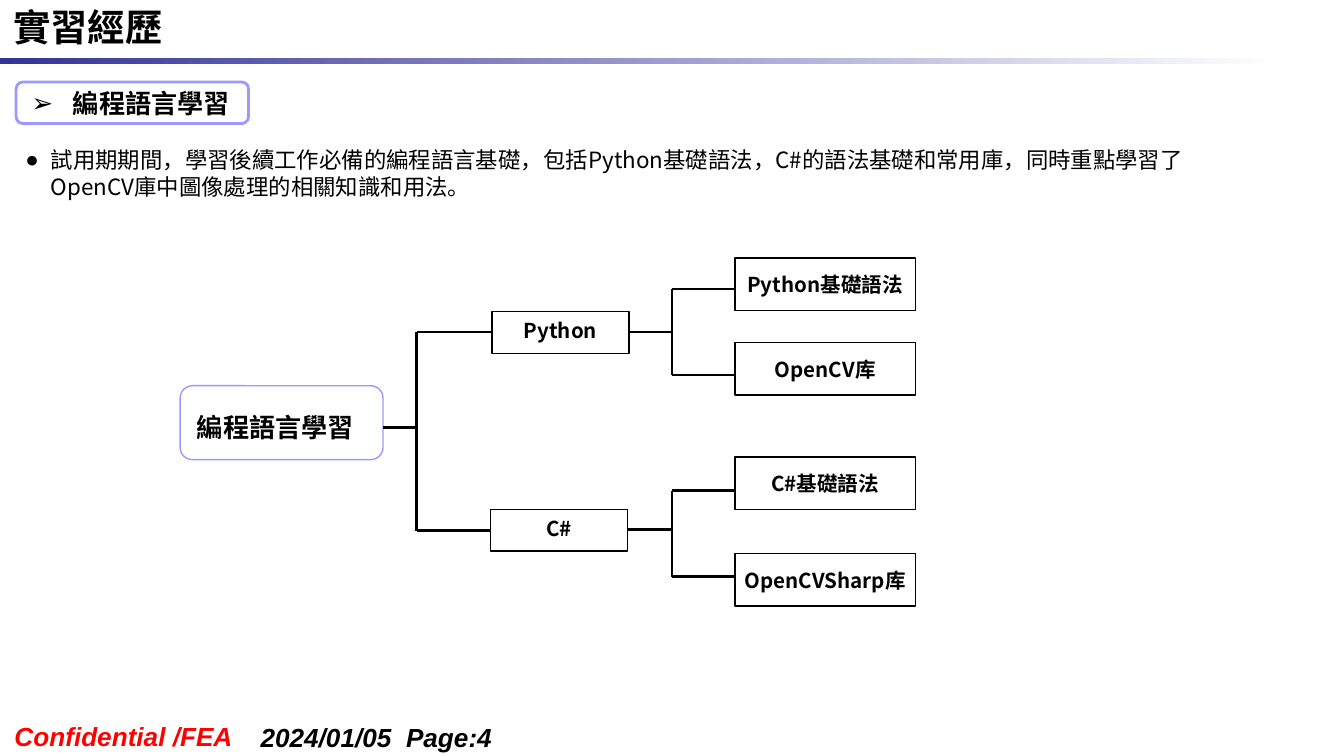
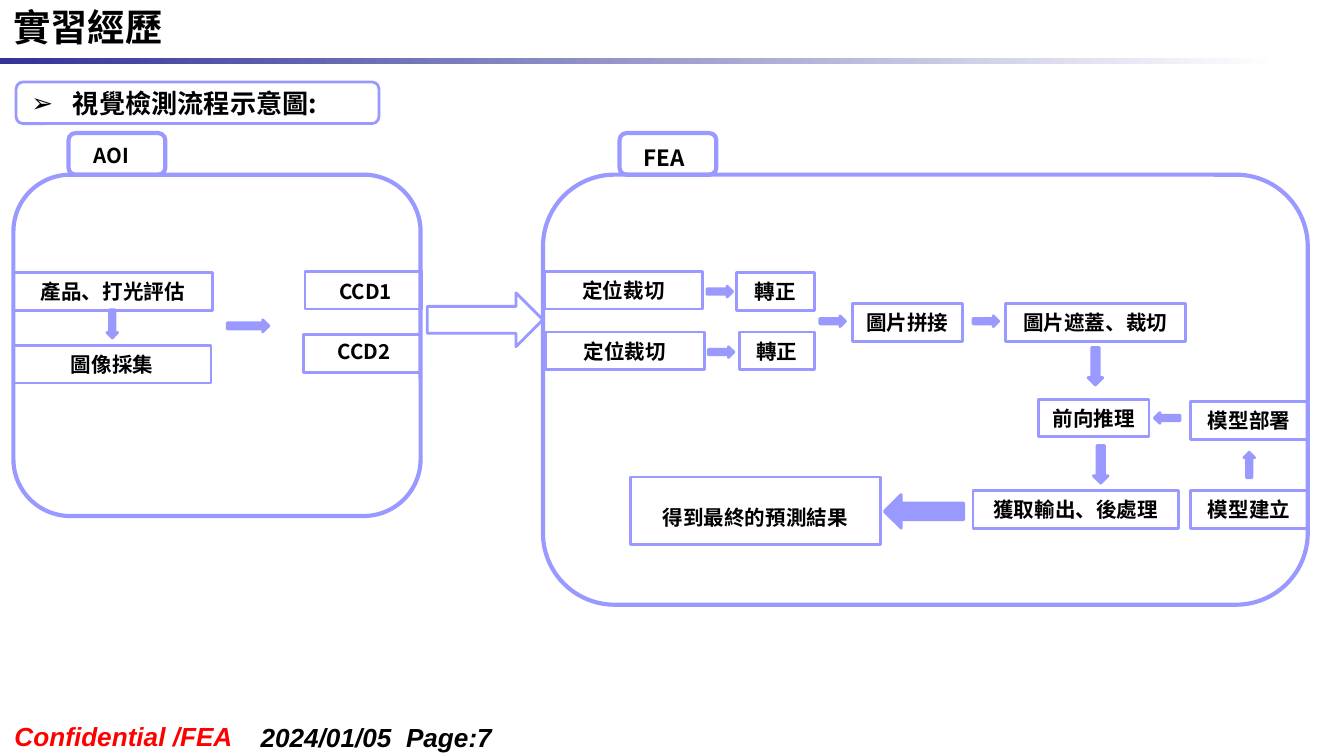
"""Builds two internship slides: a language-learning tree and a visual inspection flow."""
from lxml import etree
from pptx import Presentation
from pptx.dml.color import RGBColor
from pptx.enum.shapes import MSO_CONNECTOR, MSO_SHAPE
from pptx.enum.text import MSO_ANCHOR, MSO_AUTO_SIZE, PP_ALIGN
from pptx.oxml.ns import qn
from pptx.util import Inches, Pt

RECT, ROUND, ARROW = MSO_SHAPE.RECTANGLE, MSO_SHAPE.ROUNDED_RECTANGLE, MSO_SHAPE.RIGHT_ARROW
STRAIGHT = MSO_CONNECTOR.STRAIGHT
LEFT, CENTER, JUSTIFY = PP_ALIGN.LEFT, PP_ALIGN.CENTER, PP_ALIGN.JUSTIFY
TOP, MIDDLE = MSO_ANCHOR.TOP, MSO_ANCHOR.MIDDLE
NO_FIT = MSO_AUTO_SIZE.NONE

BLACK = RGBColor(0x00, 0x00, 0x00)
WHITE = RGBColor(0xFF, 0xFF, 0xFF)
RED = RGBColor(0xFF, 0x00, 0x00)
NAVY = RGBColor(0x33, 0x33, 0x99)
LILAC = RGBColor(0x99, 0x99, 0xFF)
CJK, LATIN = "Noto Sans CJK TC", "Arial"

WIDTH = Inches(10)
HEIGHT = WIDTH * 9 // 16

TITLE = "實習經歷"
DATE = "2024/01/05"
INTRO = ("試用期期間，學習後續工作必備的編程語言基礎，包括Python基礎語法，"
         "C#的語法基礎和常用庫，同時重點學習了OpenCV庫中圖像處理的相關知識和用法。")

ROOT = ("編程語言學習", (1.34, 2.87, 1.51, 0.55))
BRANCHES = [
    ("Python", (3.66, 2.32), 2.47, [("Python基礎語法", 1.92, 2.15), ("OpenCV库", 2.55, 2.79)]),
    ("C#", (3.65, 3.79), 3.94, [("C#基礎語法", 3.4, 3.65), ("OpenCVSharp库", 4.12, 4.29)]),
]
BRANCH_SIZE, LEAF_SIZE = (1.02, 0.31), (1.34, 0.39)
TRUNK_X, FORK_X, LEAF_X = 3.1, 5, 5.47
TRUNK_Y, TRUNK_ENDS = 3.18, (2.47, 3.95)

STAGES = [
    ((0.1, 1.3, 3.03, 2.54), 0.51),
    ((4.04, 1.3, 5.69, 3.2), 4.61),
]
STEP_HEIGHT = 0.28
STEPS = [
    ("產品、打光評估", 0.1, 2.03, 1.48),
    ("圖像採集", 0.1, 2.57, 1.47),
    ("", 2.27, 2.02, 0.87),
    ("", 2.26, 2.49, 0.87),
    ("定位裁切", 4.05, 2.02, 1.18),
    ("定位裁切", 4.06, 2.47, 1.18),
    ("轉正", 5.48, 2.03, 0.58),
    ("轉正", 5.5, 2.47, 0.56),
    ("圖片拼接", 6.34, 2.26, 0.82),
    ("圖片遮蓋、裁切", 7.48, 2.26, 1.34),
    ("前向推理", 7.73, 2.97, 0.82),
    ("模型部署", 8.86, 2.99, 0.87),
    ("模型建立", 8.86, 3.65, 0.87),
    ("獲取輸出、後處理", 7.24, 3.65, 1.53),
]
RESULT = ("得到最終的預測結果", (4.69, 3.55, 1.86, 0.5))
LABELS = [
    ("CCD1", (2.26, 2.03, 0.92, 0.28), 11, CENTER, 0.05),
    ("CCD2", (2.25, 2.47, 0.92, 0.28), 11, CENTER, 0.05),
    ("AOI", (0.51, 1.02, 0.64, 0.22), 11, CENTER, 0.1),
    ("FEA", (4.69, 1.02, 0.65, 0.3), 12, LEFT, 0.05),
]
SMALL, MEDIUM = (0.19, 0.08), (0.28, 0.11)
ARROWS = [
    ((0.73, 2.37), (0.21, 0.08), 90),
    ((1.69, 2.38), (0.31, 0.09), 0),
    ((5.26, 2.13), SMALL, 0),
    ((5.27, 2.58), SMALL, 0),
    ((6.1, 2.35), SMALL, 0),
    ((7.24, 2.35), SMALL, 0),
    ((8.01, 2.67), MEDIUM, 90),
    ((8.05, 3.4), MEDIUM, 90),
    ((8.59, 3.07), SMALL, 180),
    ((9.2, 3.42), SMALL, 270),
    ((6.58, 3.68), (0.59, 0.25), 180),
]
HANDOVER = (3.18, 2.18, 0.86, 0.4)


def write(shape, text, size, align=LEFT, anchor=MIDDLE, wrap=True, spacing=None, top=0.05,
          bullet=None, indent=0, font=CJK, color=BLACK, bold=True, italic=False):
    tf = shape.text_frame
    frame = {"auto_size": NO_FIT, "word_wrap": wrap, "vertical_anchor": anchor,
             "margin_top": Inches(top), "margin_bottom": Inches(0.05)}
    for name, value in frame.items():
        setattr(tf, name, value)
    p = tf.paragraphs[0]
    p.alignment = align
    if spacing:
        p.line_spacing = spacing
    if bullet:
        pPr = p._p.get_or_add_pPr()
        pPr.set("marL", str(Inches(indent)))
        pPr.set("indent", str(-Inches(indent)))
        etree.SubElement(pPr, qn("a:buFont"), typeface=LATIN)
        etree.SubElement(pPr, qn("a:buChar"), char=bullet)
    r = p.add_run()
    r.text = text
    style = {"name": font, "size": Pt(size), "bold": bold, "italic": italic}
    for name, value in style.items():
        setattr(r.font, name, value)
    r.font.color.rgb = color
    etree.SubElement(r._r.get_or_add_rPr(), qn("a:ea"), typeface=CJK)


def add_box(s, kind, at, line=LILAC, width=1.5, fill=None):
    sp = s.shapes.add_shape(kind, *map(Inches, at))
    sp.shadow.inherit = False
    if fill is None:
        sp.fill.background()
    else:
        sp.fill.solid()
        sp.fill.fore_color.rgb = fill
    sp.line.color.rgb = line
    sp.line.width = Pt(width)
    return sp


def add_label(s, text, at, size, anchor=TOP, **style):
    write(s.shapes.add_textbox(*map(Inches, at)), text, size, anchor=anchor, **style)


def add_line(s, x1, y1, x2, y2):
    line = s.shapes.add_connector(STRAIGHT, *map(Inches, (x1, y1, x2, y2)))
    line.line.color.rgb = BLACK
    line.line.width = Pt(1.5)
    etree.SubElement(line._element.spPr, qn("a:effectLst"))


def add_base(prs, page, heading, heading_width):
    s = prs.slides.add_slide(prs.slide_layouts[6])
    band = add_box(s, RECT, (0, 0.43, 9.51, 0.05))
    band.line.fill.background()
    band.fill.gradient()
    band.fill.gradient_angle = 0
    for stop, color, place in zip(band.fill.gradient_stops, (NAVY, WHITE), (0, 1)):
        stop.color.rgb = color
        stop.position = place
    footer = {"font": LATIN, "italic": True}
    add_label(s, f"{DATE}  Page:{page}", (1.84, 5.32, 2.29, 0.34), 14, **footer)
    add_label(s, "Confidential /FEA", (0.01, 5.31, 2.16, 0.34), 14, color=RED, **footer)
    add_label(s, TITLE, (0, -0.02, 1.32, 0.44), 20, anchor=MIDDLE, wrap=False)
    box = add_box(s, ROUND, (0.12, 0.61, heading_width, 0.31))
    write(box, heading, 14, spacing=0.9, top=0.08, bullet="➢", indent=0.31)
    return s


def add_tree(s):
    text, at = ROOT
    write(add_box(s, ROUND, at, width=0.75), text, 14, JUSTIFY, spacing=1.5, top=0)
    add_line(s, at[0] + at[2], TRUNK_Y, TRUNK_X, TRUNK_Y)
    add_line(s, TRUNK_X, TRUNK_ENDS[0], TRUNK_X, TRUNK_ENDS[1])
    for (name, (x, y), stem_y, leaves), trunk_end in zip(BRANCHES, TRUNK_ENDS):
        nodes = [(name, (x, y, *BRANCH_SIZE), 0.02)]
        nodes += [(leaf, (LEAF_X, top, *LEAF_SIZE), 0.05) for leaf, top, _ in leaves]
        for label, place, inset in nodes:
            box = add_box(s, RECT, place, BLACK, 0.75, WHITE)
            write(box, label, 11, CENTER, wrap=False, top=inset)
        joints = [joint for _, _, joint in leaves]
        add_line(s, TRUNK_X, trunk_end, x, trunk_end)
        add_line(s, x + BRANCH_SIZE[0], stem_y, FORK_X, stem_y)
        add_line(s, FORK_X, joints[0], FORK_X, joints[1])
        for joint in joints:
            add_line(s, FORK_X, joint, LEAF_X, joint)


def add_flow(s):
    for frame, tab_x in STAGES:
        add_box(s, ROUND, frame, width=2.25)
        add_box(s, ROUND, (tab_x, 0.99, 0.72, 0.31), width=2.25)
    for text, x, y, width in STEPS:
        box = add_box(s, RECT, (x, y, width, STEP_HEIGHT))
        if text:
            write(box, text, 11, CENTER, wrap=False)
    text, at = RESULT
    write(add_box(s, RECT, at), text, 11, CENTER, spacing=1.8, top=0)
    for place, size, turn in ARROWS:
        add_box(s, ARROW, (*place, *size), fill=LILAC).rotation = turn
    add_box(s, ARROW, HANDOVER)
    for text, at, size, align, inset in LABELS:
        add_label(s, text, at, size, anchor=MIDDLE, align=align, top=inset)


def main():
    prs = Presentation()
    prs.slide_width, prs.slide_height = WIDTH, HEIGHT
    s = add_base(prs, 4, "編程語言學習", 1.73)
    add_tree(s)
    add_label(s, INTRO, (0.09, 1.04, 9.1, 0.5), 12, bullet="●", indent=0.19, bold=False)
    add_flow(add_base(prs, 7, "視覺檢測流程示意圖:", 2.7))
    prs.save("out.pptx")


if __name__ == "__main__":
    main()
